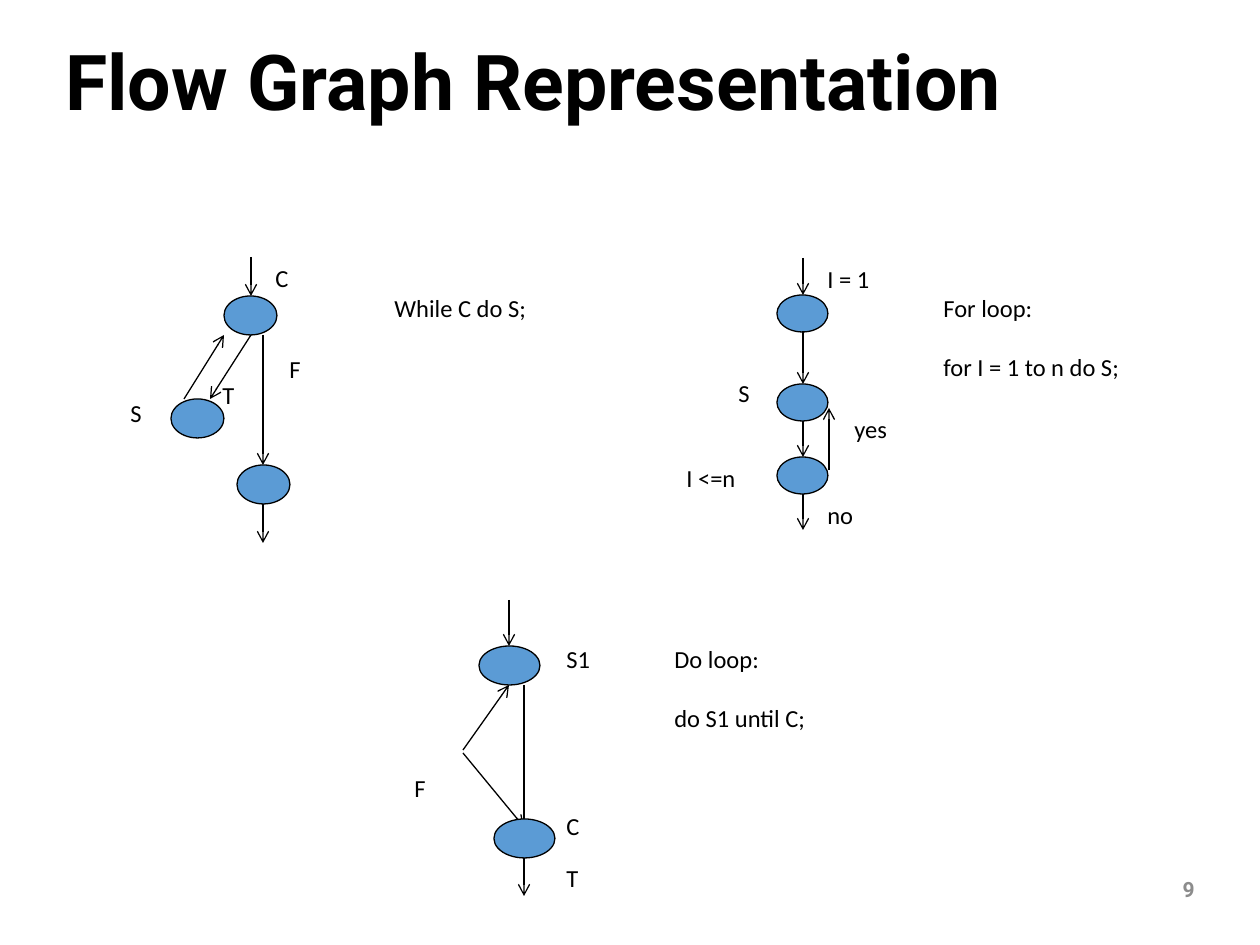
"""Build a slide of flow graphs for the while, for and do loops."""
from lxml.etree import SubElement
from pptx import Presentation
from pptx.dml.color import RGBColor
from pptx.enum.shapes import MSO_CONNECTOR as Link, MSO_SHAPE as Shape
from pptx.enum.text import MSO_ANCHOR as Anchor, PP_ALIGN as Align
from pptx.oxml.ns import qn
from pptx.util import Pt

SCALE = 914400 / 126
BLACK = RGBColor(0x00, 0x00, 0x00)
BLUE = RGBColor(0x5B, 0x9B, 0xD5)
GRAY = RGBColor(0x8C, 0x8C, 0x8C)


def px(*sizes):
    return [round(size * SCALE) for size in sizes]


def write(box, lines, size=14, face="Calibri", color=BLACK, bold=False):
    frame = slide.shapes.add_textbox(*px(*box)).text_frame
    frame.word_wrap = True
    for i, line in enumerate(lines):
        para = frame.paragraphs[0] if i == 0 else frame.add_paragraph()
        if i:
            para.space_before = Pt(17)
        run = para.add_run()
        run.text = line
        run.font.size = Pt(size)
        run.font.name = face
        run.font.bold = bold
        run.font.color.rgb = color
    return frame


deck = Presentation()
deck.slide_width, deck.slide_height = px(1260, 945)
slide = deck.slides.add_slide(deck.slide_layouts[6])

title = write((53, 37, 1153, 98), ["Flow Graph Representation"], 44, "Roboto", bold=True)
title.vertical_anchor = Anchor.MIDDLE
title.paragraphs[0].line_spacing = 0.9
number = write((1072, 864, 135, 50), ["9"], 12, "Roboto", GRAY, True)
number.vertical_anchor = Anchor.MIDDLE
number.paragraphs[0].alignment = Align.RIGHT

WHILE = (
    (53, 39), [(224, 296), (171, 399), (237, 465)],
    [(251, 257, 251, 296), (251, 335, 210, 399), (263, 335, 263, 465),
     (184, 399, 224, 335), (263, 504, 263, 543)],
    [(382, 287, 208, ["While C do S;"]), (118, 392, 49, ["S"]), (263, 257, 53, ["C"]),
     (210, 374, 53, ["T"]), (277, 348, 53, ["F"])],
)
FOR = (
    (51, 37), [(777, 295), (777, 384), (777, 457)],
    [(803, 258, 803, 295), (803, 331, 803, 384), (803, 421, 803, 457),
     (829, 470, 829, 408), (803, 494, 803, 530)],
    [(931, 287, 260, ["For loop:", "for I = 1 to n do S;"]), (726, 372, 48, ["S"]),
     (815, 258, 89, ["I = 1"]), (674, 457, 101, ["I <=n"]),
     (842, 408, 77, ["yes"]), (815, 494, 77, ["no"])],
)
DO = (
    (61, 39), [(479, 646), (494, 819)],
    [(509, 600, 509, 646), (463, 750, 509, 685), (524, 685, 524, 832),
     (463, 753, 524, 827), (524, 857, 524, 896)],
    [(662, 638, 241, ["Do loop:", "do S1 until C;"]), (554, 638, 74, ["S1"]),
     (554, 805, 60, ["C"]), (402, 767, 60, ["F"]), (554, 857, 60, ["T"])],
)

for size, nodes, arrows, labels in (WHILE, FOR, DO):
    for item in nodes[:-1] + arrows + nodes[-1:]:
        if len(item) == 4:
            part = slide.shapes.add_connector(Link.STRAIGHT, *px(*item))
            SubElement(part.line._get_or_add_ln(), qn("a:tailEnd"), type="arrow")
            SubElement(part._element.spPr, qn("a:effectLst"))
        else:
            part = slide.shapes.add_shape(Shape.OVAL, *px(*item, *size))
            part.shadow.inherit = False
            part.fill.solid()
            part.fill.fore_color.rgb = BLUE
        part.line.color.rgb = BLACK
        part.line.width = Pt(0.75)
    for left, top, width, lines in labels:
        write((left, top, width, 52 if len(lines) == 1 else 120), lines)

deck.save("out.pptx")
